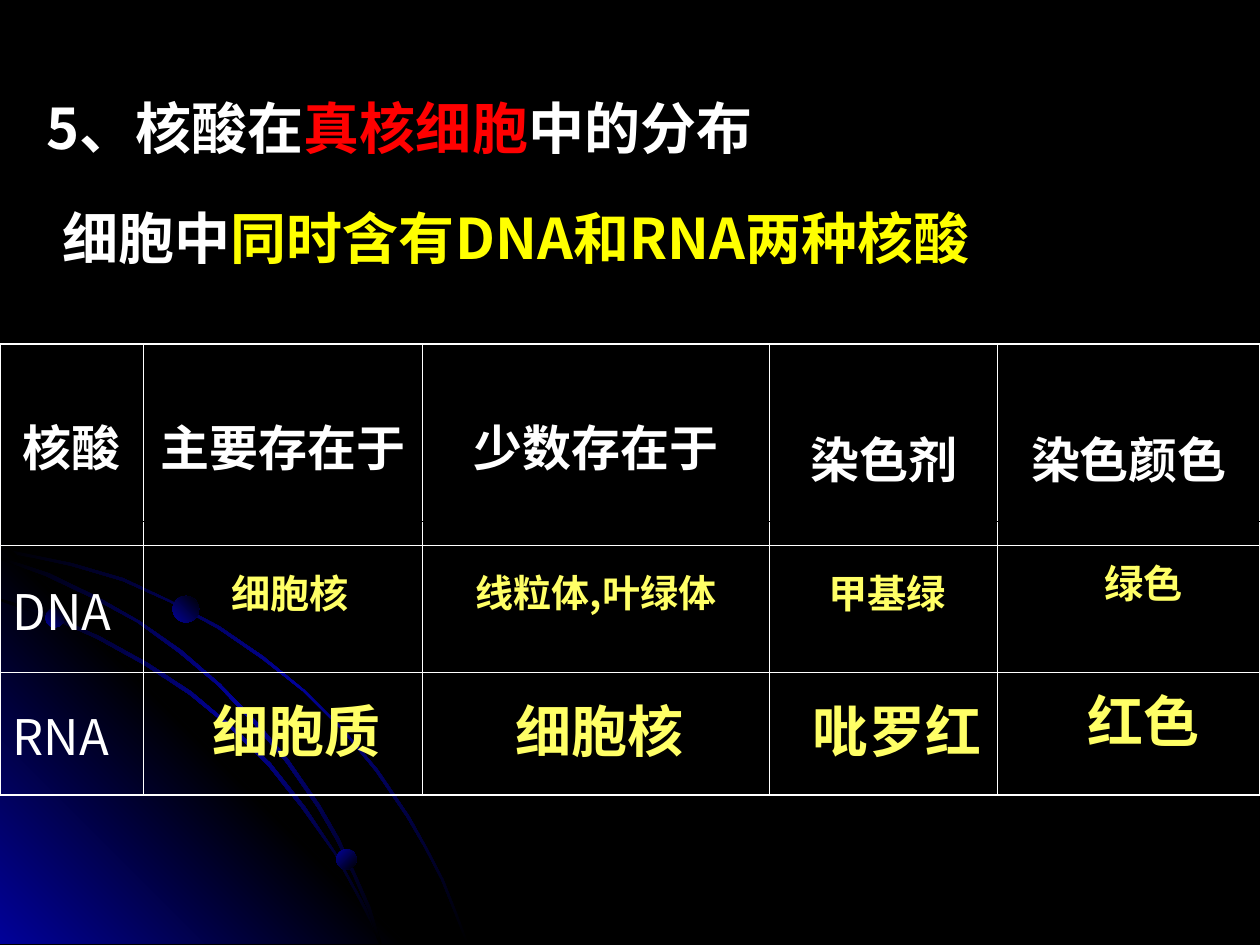
from dataclasses import dataclass
from typing import Optional

from pptx import Presentation
from pptx.dml.color import RGBColor
from pptx.enum.shapes import MSO_CONNECTOR, MSO_SHAPE
from pptx.enum.text import MSO_ANCHOR, MSO_AUTO_SIZE, PP_ALIGN
from pptx.oxml import parse_xml
from pptx.oxml.ns import nsdecls
from pptx.util import Inches, Pt

WIDTH, HEIGHT = 10, 7.5
SANS, SERIF = "Noto Sans CJK SC", "Times New Roman"
BLACK, WHITE, RED, YELLOW = "000000", "FFFFFF", "FF0000", "FFFF00"
ANSWER, GLOW = "FFFF66", "010199"

COLUMNS = (1.14, 2.21, 2.76, 1.81, 2.08)
ROWS = (1.6, 1.01, 0.97)
TABLE_TOP = 2.73


@dataclass
class Span:
    text: str
    colour: str = WHITE
    size: float = 32
    font: str = SANS
    bold: bool = True


@dataclass
class Answer:
    text: str
    left: float
    width: float
    font: str = SANS
    raised: float = 0
    size: Optional[float] = None


@dataclass
class AnswerRow:
    top: float
    height: float
    size: float
    spacing: float
    answers: tuple


@dataclass
class Swoosh:
    points: tuple
    stops: tuple
    angle: int


@dataclass
class Planet:
    left: float
    top: float
    diameter: float
    angle: int


FADE = (BLACK, GLOW, BLACK)
SWOOSHES = (
    Swoosh(((0, 4.35), (0.28, 4.41), (0.57, 4.47), (0.98, 4.59), (1.36, 4.77), (1.74, 4.97),
            (2.09, 5.21), (2.42, 5.48), (2.72, 5.78), (3, 6.11), (3.25, 6.48), (3.39, 6.73),
            (3.52, 6.98), (3.62, 7.23), (3.72, 7.49), (3.7, 7.49), (3.6, 7.23), (3.5, 6.98),
            (3.37, 6.73), (3.23, 6.49), (2.98, 6.12), (2.71, 5.79), (2.41, 5.49), (2.08, 5.23),
            (1.73, 4.99), (1.35, 4.78), (0.97, 4.61), (0.56, 4.49), (0.28, 4.43), (0, 4.38)),
           FADE, 45),
    Swoosh(((0, 4.27), (3.22, 7.49), (0, 7.49)), (GLOW, BLACK, GLOW), 315),
    Swoosh(((0, 4.75), (0.41, 4.88), (0.79, 5.05), (1.17, 5.26), (1.52, 5.49), (1.84, 5.76),
            (2.15, 6.06), (2.42, 6.4), (2.66, 6.76), (2.86, 7.12), (2.96, 7.3), (3.03, 7.49),
            (3.01, 7.49), (2.94, 7.32), (2.85, 7.14), (2.65, 6.77), (2.4, 6.42), (2.13, 6.08),
            (1.83, 5.78), (1.5, 5.51), (1.15, 5.28), (0.77, 5.07), (0.39, 4.9), (0, 4.77)),
           FADE, 45),
    Swoosh(((0, 4.42), (0.39, 4.55), (0.76, 4.73), (1.11, 4.93), (1.44, 5.16), (1.75, 5.43),
            (2.04, 5.73), (2.29, 6.03), (2.54, 6.39), (2.69, 6.65), (2.82, 6.93), (2.94, 7.2),
            (3.03, 7.49), (3.01, 7.49), (2.92, 7.22), (2.8, 6.94), (2.67, 6.67), (2.52, 6.41),
            (2.27, 6.05), (2.02, 5.75), (1.73, 5.44), (1.42, 5.18), (1.09, 4.94), (0.74, 4.75),
            (0.36, 4.57), (0, 4.44)), FADE, 45),
)
PLANETS = (Planet(0.36, 4.83, 0.15, 315), Planet(2.67, 6.74, 0.16, 45),
           Planet(1.37, 4.73, 0.21, 315))

HEADING = (Span("5、核酸在"), Span("真核细胞", RED), Span("中的分布"))
STATEMENT = (Span("细胞中"), Span("同时含有DNA和RNA两种核酸", YELLOW))
# Each header: text, font, extra top margin that lowers it
HEADERS = (("核酸", SERIF, 0), ("主要存在于", "Arial", 0), ("少数存在于", "Arial", 0),
           ("染色剂", SERIF, 0.2), ("染色颜色", SERIF, 0.2))
ACIDS = ("DNA", "RNA")
ANSWER_ROWS = (
    AnswerRow(4.54, 0.47, 22.4, 0.8, (
        Answer("细胞核", 1.38, 1.85), Answer("线粒体,叶绿体", 3.35, 2.76, size=21.7),
        Answer("甲基绿", 5.94, 2.2, SERIF), Answer("绿色", 8.15, 1.85, SERIF, 0.08))),
    AnswerRow(5.48, 0.72, 32, 1, (
        Answer("细胞质", 1.53, 1.65), Answer("细胞核", 3.58, 2.36),
        Answer("吡罗红", 6.02, 2.2, SERIF), Answer("红色", 8.15, 1.85, SERIF, 0.08))),
)


def rgb(colour: str) -> RGBColor:
    return RGBColor.from_string(colour)


def write(paragraph, spans, align=PP_ALIGN.LEFT, spacing=None) -> None:
    paragraph.alignment = align
    paragraph.line_spacing = spacing
    for span in spans:
        run = paragraph.add_run()
        run.text = span.text
        run.font.name, run.font.size, run.font.bold = span.font, Pt(span.size), span.bold
        run.font.color.rgb = rgb(span.colour)


def prepare_frame(shape) -> None:
    frame = shape.text_frame
    frame.word_wrap = True
    frame.auto_size = MSO_AUTO_SIZE.NONE
    frame.vertical_anchor = MSO_ANCHOR.TOP


def add_text(slide, left, top, width, height, spans, align=PP_ALIGN.LEFT, spacing=None) -> None:
    box = slide.shapes.add_textbox(*map(Inches, (left, top, width, height)))
    prepare_frame(box)
    write(box.text_frame.paragraphs[0], spans, align, spacing)


def shade(shape, stops: tuple, angle: int) -> None:
    """Fill with evenly spaced gradient stops, without outline or shadow."""
    step = 100000 // (len(stops) - 1)
    marks = "".join(f'<a:gs pos="{i * step}"><a:srgbClr val="{colour}"/></a:gs>'
                    for i, colour in enumerate(stops))
    shape._element.spPr.insert(2, parse_xml(
        f'<a:gradFill {nsdecls("a")} rotWithShape="1"><a:gsLst>{marks}</a:gsLst>'
        f'<a:lin ang="{angle * 60000}" scaled="0"/></a:gradFill>'))
    shape.line.fill.background()
    shape.shadow.inherit = False


def draw_backdrop(slide) -> None:
    slide.background.fill.solid()
    slide.background.fill.fore_color.rgb = rgb(BLACK)
    for swoosh in SWOOSHES:
        start, *rest = [(Inches(x), Inches(y)) for x, y in swoosh.points]
        builder = slide.shapes.build_freeform(*start)
        builder.add_line_segments(rest, close=True)
        shade(builder.convert_to_shape(), swoosh.stops, swoosh.angle)
    for planet in PLANETS:
        size = Inches(planet.diameter)
        disc = slide.shapes.add_shape(
            MSO_SHAPE.OVAL, Inches(planet.left), Inches(planet.top), size, size)
        shade(disc, (GLOW, BLACK), planet.angle)


def style_cell(cell, outer: dict) -> None:
    """Clear the fill and rule the four sides, heavier on the table's edge."""
    cell.vertical_anchor = MSO_ANCHOR.MIDDLE
    properties = cell._tc.get_or_add_tcPr()
    for side in ("L", "R", "T", "B"):
        weight = Pt(1.08 if outer[side] else 0.45)
        properties.append(parse_xml(
            f'<a:ln{side} {nsdecls("a")} w="{int(weight)}"><a:solidFill>'
            f'<a:srgbClr val="{WHITE}"/></a:solidFill></a:ln{side}>'))
    cell.fill.background()


def draw_table(slide) -> None:
    table = slide.shapes.add_table(len(ROWS), len(COLUMNS), 0, Inches(TABLE_TOP),
                                   Inches(WIDTH), Inches(sum(ROWS))).table
    table.first_row = table.horz_banding = False
    for column, width in zip(table.columns, COLUMNS):
        column.width = Inches(width)
    for r, height in enumerate(ROWS):
        table.rows[r].height = Inches(height)
        for c in range(len(COLUMNS)):
            style_cell(table.cell(r, c), {"L": c == 0, "R": c == len(COLUMNS) - 1,
                                          "T": r == 0, "B": r == len(ROWS) - 1})
    for c, (text, font, lowered) in enumerate(HEADERS):
        cell = table.cell(0, c)
        cell.margin_top = Inches(0.05 + lowered)
        write(cell.text_frame.paragraphs[0], [Span(text, size=28, font=font)], PP_ALIGN.CENTER)
    for r, acid in enumerate(ACIDS, 1):
        label = Span(acid, size=28, font="Noto Sans CJK JP", bold=False)
        write(table.cell(r, 0).text_frame.paragraphs[0], [label])


def draw_rule(slide, left: float, right: float, y: float) -> None:
    rule = slide.shapes.add_connector(MSO_CONNECTOR.STRAIGHT, *map(Inches, (left, y, right, y)))
    rule.line.color.rgb = rgb(BLACK)
    rule.line.width = Pt(1)
    rule._element.spPr.append(parse_xml(f'<a:effectLst {nsdecls("a")}/>'))


def main() -> None:
    deck = Presentation()
    deck.slide_width, deck.slide_height = Inches(WIDTH), Inches(HEIGHT)
    slide = deck.slides.add_slide(deck.slide_layouts[5])
    draw_backdrop(slide)
    title = slide.shapes.title
    title.left, title.top, title.width, title.height = map(Inches, (0.27, 0.7, 8.51, 0.64))
    prepare_frame(title)
    write(title.text_frame.paragraphs[0], HEADING, spacing=Pt(38))
    draw_table(slide)
    draw_rule(slide, 0.27, WIDTH, 4.14)
    for row in ANSWER_ROWS:
        for answer in row.answers:
            span = Span(answer.text, ANSWER, answer.size or row.size, answer.font)
            add_text(slide, answer.left, row.top - answer.raised, answer.width, row.height,
                     [span], PP_ALIGN.CENTER, row.spacing)
    add_text(slide, 0.4, 1.57, 7.57, 1.15, STATEMENT, spacing=Pt(38))
    deck.save("out.pptx")


if __name__ == "__main__":
    main()
